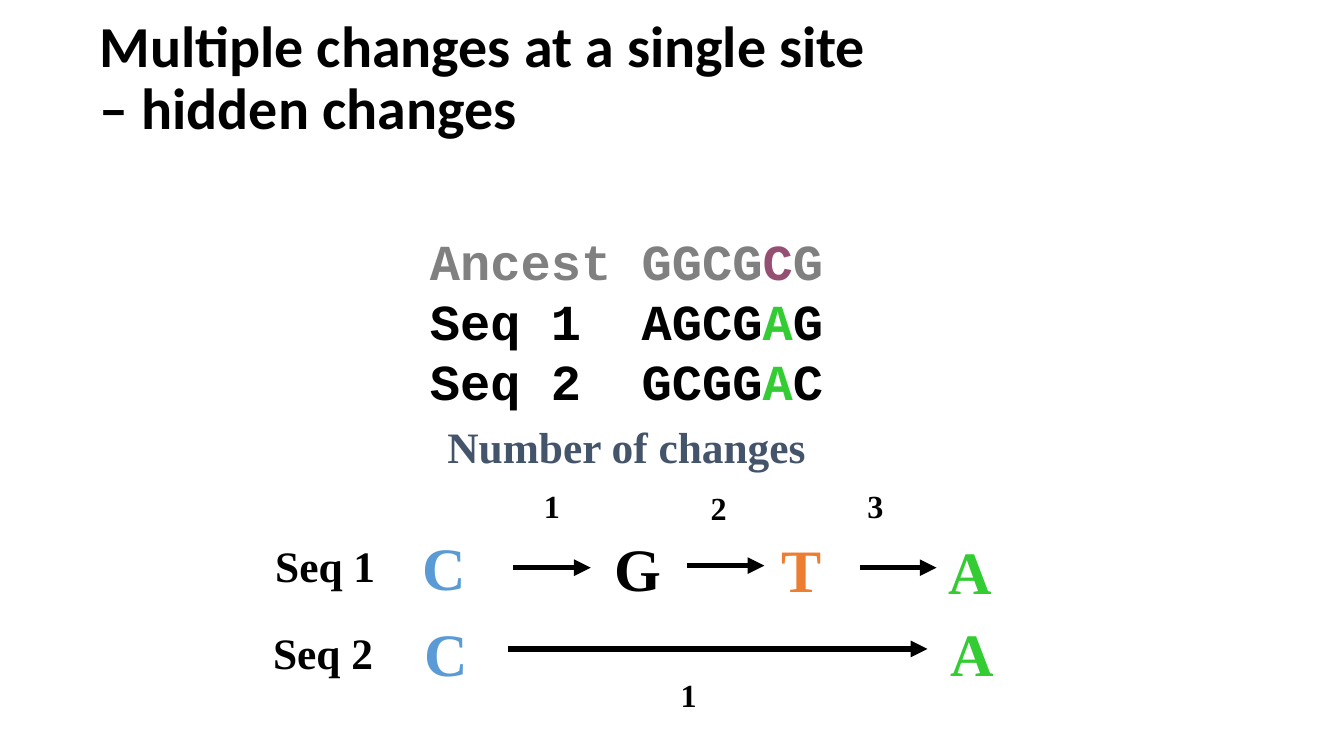
from lxml import etree
from pptx import Presentation
from pptx import util as u
from pptx.dml.color import RGBColor
from pptx.enum import dml, shapes, text
from pptx.oxml import ns

BLACK, GRAY, PLUM, SLATE = "000000", "808080", "954F72", "44546A"
BLUE, GREEN, ORANGE = "5B9BD5", "33CC33", "ED7D31"

deck = Presentation()
deck.slide_width, deck.slide_height = u.Pt(960), u.Pt(540)
slide = deck.slides.add_slide(deck.slide_layouts[6])


def hue(code):
    return RGBColor.from_string(code)


def write(lines, left, top, width, height, size, font="Times New Roman",
          color=BLACK, wrap=False, anchor=text.MSO_ANCHOR.TOP, spacing=None):
    """Add bold text; lines is a string or a list of lists of (text, color)."""
    box = slide.shapes.add_textbox(u.Pt(left), u.Pt(top), u.Pt(width), u.Pt(height))
    frame = box.text_frame
    frame.word_wrap, frame.vertical_anchor = wrap, anchor
    if isinstance(lines, str):
        lines = [[(lines, color)]]
    for i, line in enumerate(lines):
        para = frame.add_paragraph() if i else frame.paragraphs[0]
        para.line_spacing = spacing
        for part, tone in line:
            for j, piece in enumerate(part.split("\n")):
                if j:
                    para.add_line_break()
                run = para.add_run()
                run.text = piece
                run.font.name, run.font.size, run.font.bold = font, u.Pt(size), True
                run.font.color.rgb = hue(tone)


write("Multiple changes at a single site\n– hidden changes", 64, 21, 839, 72, 41.4,
      font="Calibri", wrap=True, anchor=text.MSO_ANCHOR.MIDDLE, spacing=0.9)

# Aligned sequences, with the changed site in its own color
sites = [("Ancest GGCG", "C", "G", GRAY, PLUM),
         ("Seq 1  AGCG", "A", "G", BLACK, GREEN),
         ("Seq 2  GCGG", "A", "C", BLACK, GREEN)]
write([[(head, tone), (site, mark), (tail, tone)] for head, site, tail, tone, mark in sites],
      300, 160.5, 299, 138, 36, font="Courier New")

write("Number of changes", 312.5, 296.5, 273, 45, 31, color=SLATE)

# Paths of change at that site
for name, left, top in [("Seq 1", 189.5, 381.5), ("Seq 2", 188, 443.5)]:
    write(name, left, top, 86.5, 45, 31)

bases = [("C", 295, 375, 46, BLUE), ("G", 431.5, 376, 48, BLACK),
         ("T", 551, 377, 42.5, ORANGE), ("A", 670.5, 378, 44.5, GREEN),
         ("C", 296, 436.5, 46, BLUE), ("A", 672, 436.5, 44.5, GREEN)]
for base, left, top, width, tone in bases:
    write(base, left, top, width, 59, 43, color=tone)

for count, left, top in [("1", 381.5, 343.5), ("2", 500.5, 345),
                         ("3", 612.5, 343.5), ("1", 479, 479)]:
    write(count, left, top, 26, 35, 23)

for start, end, y in [(366.5, 422, 405.5), (490.5, 546, 404),
                      (614, 669, 405.5), (363, 662.5, 463.5)]:
    arrow = slide.shapes.add_connector(shapes.MSO_CONNECTOR.STRAIGHT,
                                       u.Pt(start), u.Pt(y), u.Pt(end), u.Pt(y))
    arrow.line.width = u.Pt(4)
    arrow.line.dash_style = dml.MSO_LINE.SOLID
    arrow.line.color.rgb = hue(BLACK)
    props = arrow.element.spPr
    etree.SubElement(props.find(ns.qn("a:ln")), ns.qn("a:tailEnd"), type="triangle")
    etree.SubElement(props, ns.qn("a:effectLst"))

deck.save("out.pptx")
